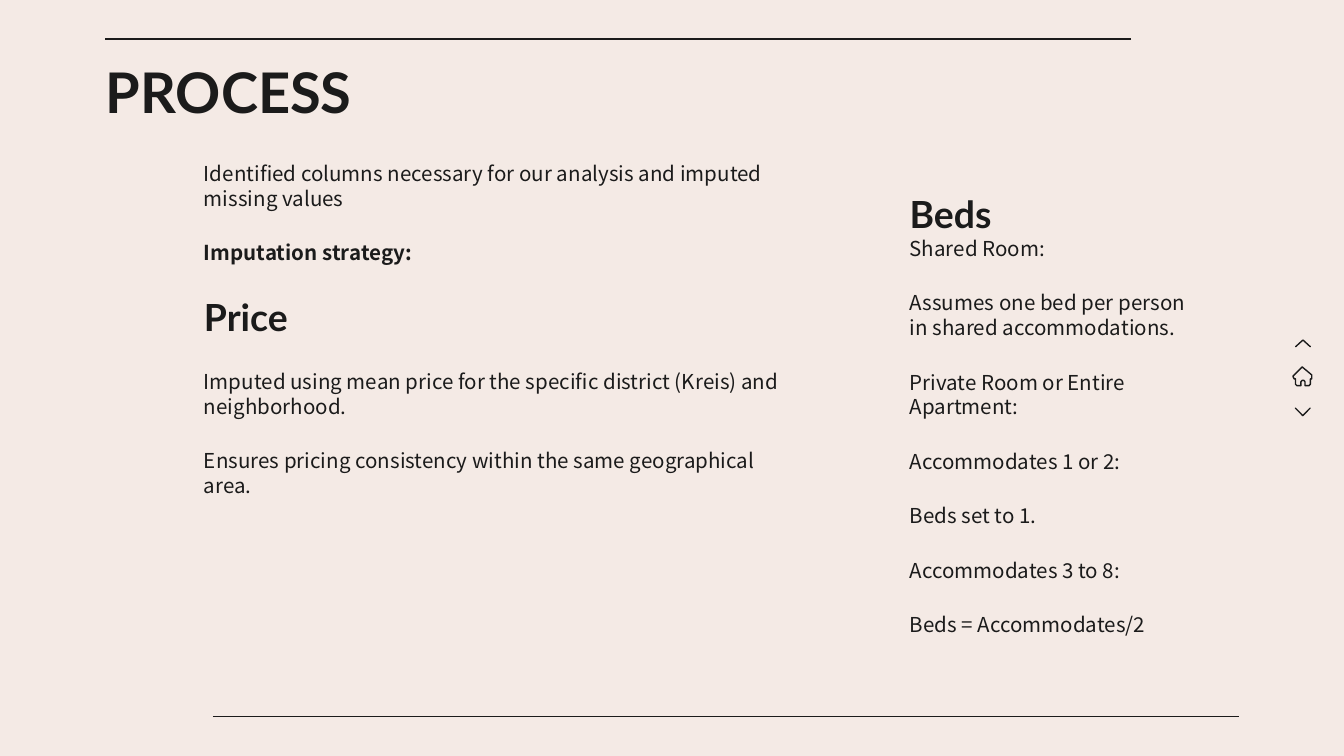
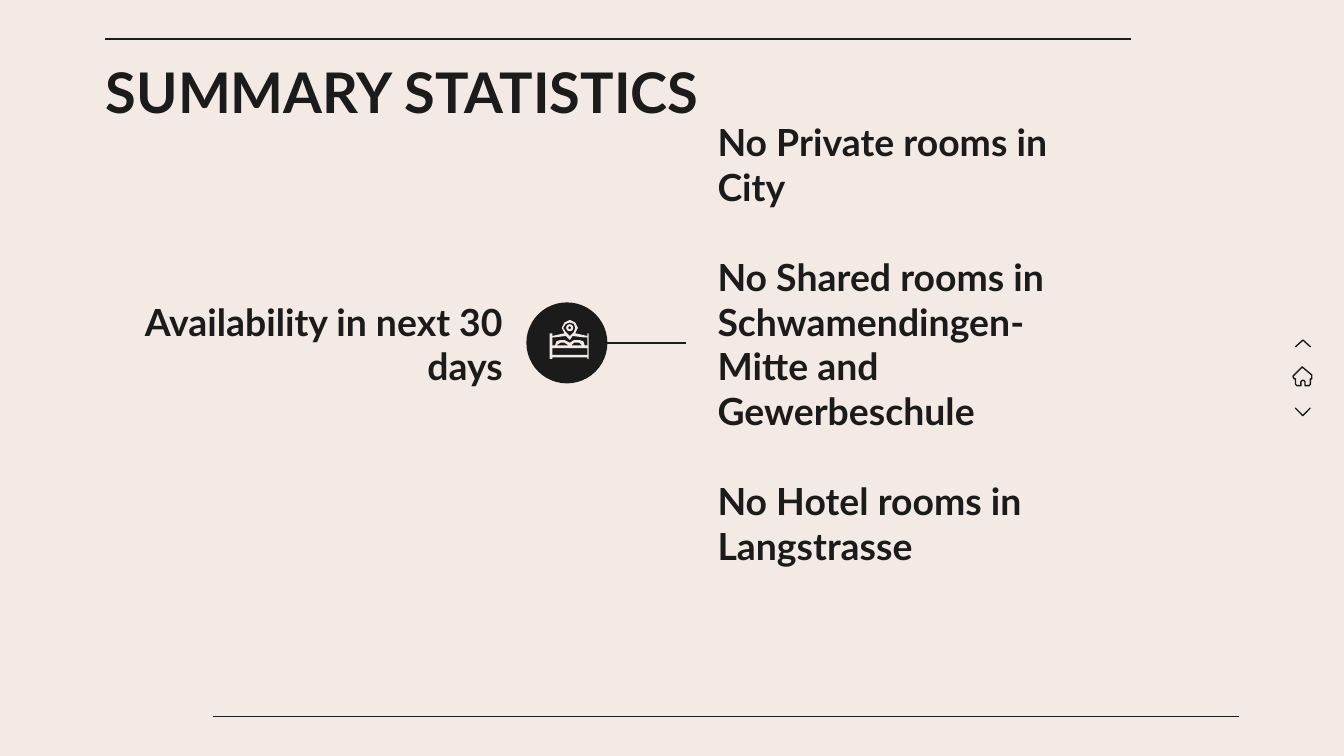
"""Build the Process and Summary Statistics slides."""
from lxml.etree import SubElement
from pptx import Presentation
from pptx.dml.color import RGBColor
from pptx.enum.shapes import MSO_CONNECTOR, MSO_SHAPE
from pptx.enum.text import MSO_ANCHOR, MSO_AUTO_SIZE, PP_ALIGN
from pptx.oxml.ns import qn
from pptx.util import Pt

INK = RGBColor(0x1B, 0x1B, 0x1B)
PAPER = RGBColor(0xF4, 0xEA, 0xE5)

HEAD = {"font": "Lato", "size": 20, "bold": True}
BODY = {"font": "Noto Sans CJK KR", "size": 11, "bold": False, "pitch": 13.2}
STRONG = {**BODY, "bold": True}
TITLE = {**HEAD, "size": 30}

STRATEGY = [
    ("Identified columns necessary for our analysis and imputed missing values", BODY),
    ("Imputation strategy:", STRONG),
    ("Price", HEAD),
    ("Imputed using mean price for the specific district (Kreis) and neighborhood.", BODY),
    ("Ensures pricing consistency within the same geographical area.", BODY),
]
BEDS = [
    ("Beds", HEAD),
    ("Shared Room:", BODY),
    ("Assumes one bed per person in shared accommodations.", BODY),
    ("Private Room or Entire Apartment:", BODY),
    ("Accommodates 1 or 2:", BODY),
    ("Beds set to 1.", BODY),
    ("Accommodates 3 to 8:", BODY),
    ("Beds = Accommodates/2", BODY),
]
AVAILABILITY = [("Availability in next 30 days", HEAD)]
FINDINGS = [
    ("No Private rooms in City", HEAD),
    ("No Shared rooms in Schwamendingen-Mitte and Gewerbeschule", HEAD),
    ("No Hotel rooms in Langstrasse", HEAD),
]

RULES = [(606, 21, 56, 21), (114, 384, 664, 384)]
CHEVRONS = [(696.2, 180, 3.6, 7.9, 270), (695.9, 216.7, 4, 7.9, 90)]
ICON_UNIT = Pt(0.72)
HOUSE = [[
    (969, 273), (963, 279), (962.5, 280), (963, 281.5), (964, 282), (964, 286),
    (965, 287), (968, 287), (968, 284), (969, 283), (970, 283), (971, 284),
    (971, 287), (974, 287), (975, 286), (975, 282), (976, 281.5), (976.5, 280),
    (976, 279), (970, 273.5),
]]
BED = [
    [(424, 238), (420, 240), (418, 244), (420, 248), (411, 250), (411, 248),
     (409, 248), (409, 267), (411, 267), (411, 266), (437, 266), (437, 267),
     (438, 267), (438, 248), (437, 248), (437, 250), (428, 248), (430, 244),
     (428, 240)],
    [(424, 240), (421, 241), (419, 244), (421, 247), (424, 250), (427, 247),
     (428, 244), (427, 241)],
    [(417, 255), (420, 255), (423, 257), (414, 257)],
    [(427, 255), (431, 255), (433, 257), (425, 257)],
    [(426, 250), (434, 251), (437, 251), (437, 257), (435, 257), (434, 254),
     (431, 253), (427, 253), (424, 255), (420, 253), (417, 253), (414, 254),
     (413, 257), (411, 257), (411, 251), (413, 251), (421, 250), (424, 253)],
    [(437, 259), (437, 264), (411, 264), (411, 259)],
]


def style_paragraph(para, style):
    """Format a paragraph's runs and line pitch."""
    if "pitch" in style:
        para.line_spacing = Pt(style["pitch"])
    for span in para.runs:
        span.font.name = style["font"]
        span.font.size = Pt(style["size"])
        span.font.bold = style["bold"]
        span.font.color.rgb = INK


def add_text(page, place, content, gaps, indent=0, top=7.2, bottom=7.2,
             anchor=MSO_ANCHOR.MIDDLE, align=PP_ALIGN.LEFT):
    """Add a wrapped text box; gaps holds the space before each paragraph."""
    box = page.shapes.add_textbox(*map(Pt, place))
    frame = box.text_frame
    frame.word_wrap = True
    frame.vertical_anchor = anchor
    frame.margin_top, frame.margin_bottom = Pt(top), Pt(bottom)
    frame.text = "\n".join(words for words, style in content)
    for para, (words, style), gap in zip(frame.paragraphs, content, gaps):
        para.alignment = align
        para.space_before = Pt(gap)
        para._p.get_or_add_pPr().set("marL", str(Pt(indent)))
        style_paragraph(para, style)


def add_line(page, kind, ends):
    """Add a thin dark connector."""
    line = page.shapes.add_connector(kind, *map(Pt, ends))
    line.line.color.rgb = INK
    line.line.width = Pt(0.75)
    SubElement(line._element.spPr, qn("a:effectLst"))


def paint(shape, fill=None, line=None):
    """Give a shape its fill and outline, leaving out whichever is None."""
    shape.shadow.inherit = False
    if fill is None:
        shape.fill.background()
    else:
        shape.fill.solid()
        shape.fill.fore_color.rgb = fill
    if line is None:
        shape.line.fill.background()
    else:
        shape.line.color.rgb = line
        shape.line.width = Pt(0.75)


def add_shape(page, kind, place, **colours):
    """Add a painted preset shape."""
    shape = page.shapes.add_shape(kind, *map(Pt, place))
    paint(shape, **colours)
    return shape


def add_icon(page, contours, **colours):
    """Draw closed contours as one freeform."""
    builder = page.shapes.build_freeform(*contours[0][0], scale=ICON_UNIT)
    for contour in contours:
        if contour is not contours[0]:
            builder.move_to(*contour[0])
        builder.add_line_segments(contour[1:], close=True)
    paint(builder.convert_to_shape(), **colours)


def add_page(deck, heading):
    """Add a slide with its title, rules and navigation marks."""
    page = deck.slides.add_slide(deck.slide_layouts[5])
    for ends in RULES:
        add_line(page, MSO_CONNECTOR.STRAIGHT, ends)
    title = page.shapes.title
    title.left, title.top, title.width, title.height = map(Pt, (56.7, 31, 607, 36))
    frame = title.text_frame
    frame.text = heading
    frame.auto_size = MSO_AUTO_SIZE.NONE
    frame.vertical_anchor = MSO_ANCHOR.TOP
    frame.margin_left = frame.margin_right = frame.margin_top = frame.margin_bottom = 0
    frame.paragraphs[0].alignment = PP_ALIGN.LEFT
    style_paragraph(frame.paragraphs[0], TITLE)
    add_icon(page, HOUSE, line=INK)
    for *place, angle in CHEVRONS:
        chevron = add_shape(page, MSO_SHAPE.CHEVRON, place, line=INK)
        chevron.adjustments[0] = 1
        chevron.rotation = angle
    return page


def build_process(deck):
    """Build the imputation slide."""
    page = add_page(deck, "PROCESS")
    add_text(page, (66.2, 20.2, 365, 384.8), STRATEGY, [0] + [16] * 4, indent=36,
             top=66, anchor=MSO_ANCHOR.TOP)
    add_text(page, (444.2, 85.7, 198, 296), BEDS, [0, 0] + [16] * 6, indent=36, bottom=31)


def build_statistics(deck):
    """Build the availability slide."""
    page = add_page(deck, "SUMMARY STATISTICS")
    add_shape(page, MSO_SHAPE.OVAL, (282, 162, 43.4, 43.4), fill=INK)
    add_line(page, MSO_CONNECTOR.ELBOW, (325.4, 183.7, 367.4, 183.7))
    add_text(page, (56.2, 167.8, 220.3, 32.4), AVAILABILITY, [0], align=PP_ALIGN.RIGHT)
    add_text(page, (377.3, 167.8, 226.8, 32.4), FINDINGS, [0, 24, 24])
    add_icon(page, BED, fill=PAPER)
    ring = add_shape(page, MSO_SHAPE.DONUT, (303.3, 173.7, 3.8, 3.8), fill=PAPER)
    ring.adjustments[0] = 0.3


def main():
    """Build and save the deck."""
    deck = Presentation()
    deck.slide_width, deck.slide_height = Pt(720), Pt(405)
    background = deck.slide_master.background.fill
    background.solid()
    background.fore_color.rgb = PAPER
    build_process(deck)
    build_statistics(deck)
    deck.save("out.pptx")


if __name__ == "__main__":
    main()
